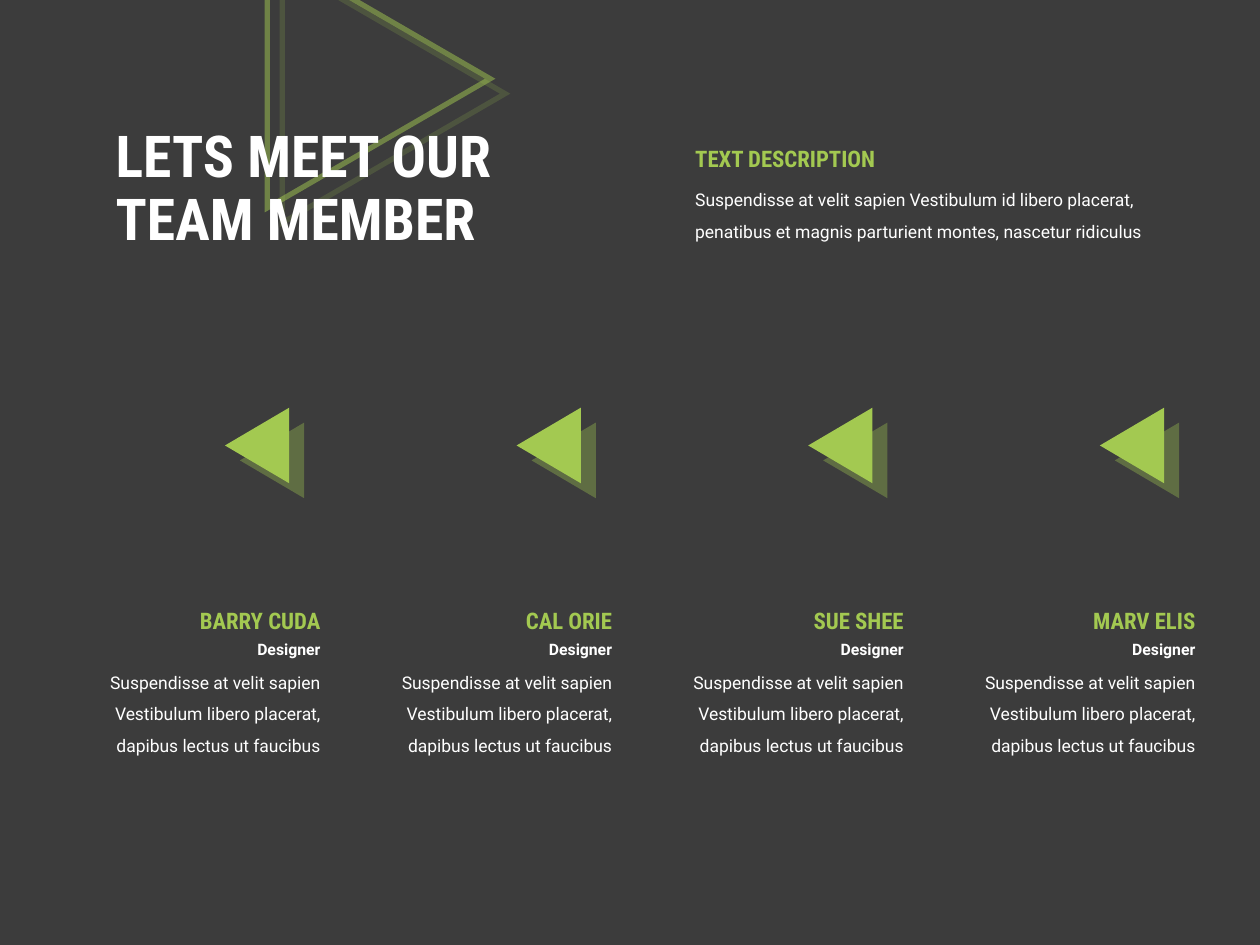
from dataclasses import dataclass

from lxml.etree import SubElement
from pptx import Presentation
from pptx.dml.color import RGBColor
from pptx.enum.shapes import MSO_SHAPE as Shape
from pptx.enum.text import MSO_ANCHOR as Anchor, MSO_AUTO_SIZE as AutoSize, PP_ALIGN as Align
from pptx.oxml.ns import qn
from pptx.util import Pt


@dataclass(frozen=True)
class TextStyle:
    font: str
    size: float
    color: RGBColor
    bold: bool = False
    spacing: float = 1.0


@dataclass(frozen=True)
class Box:
    left: float
    top: float
    width: float
    height: float


@dataclass(frozen=True)
class Member:
    name: str
    role: str
    about: str


class Theme:
    background = RGBColor(0x3C, 0x3C, 0x3C)
    green = RGBColor(0xA3, 0xC9, 0x51)
    white = RGBColor(0xFF, 0xFF, 0xFF)
    title = TextStyle("Roboto Condensed", 33, white, True, 0.9)
    heading = TextStyle("Roboto Condensed", 13, green, True)
    role = TextStyle("Roboto", 9, white, True)
    body = TextStyle("Roboto", 10, white, spacing=1.5)


ABOUT = "Suspendisse at velit sapien Vestibulum libero placerat, dapibus lectus ut faucibus"
MEMBERS = [Member(name, "Designer", ABOUT)
           for name in ("BARRY CUDA", "CAL ORIE", "SUE SHEE", "MARV ELIS")]
FIRST_RIGHT = 190.1
COLUMN_PITCH = 166.65


def add_text(slide, box: Box, text: str, style: TextStyle, align=Align.LEFT,
             anchor=Anchor.TOP, auto_size=AutoSize.SHAPE_TO_FIT_TEXT) -> None:
    s = slide.shapes.add_textbox(Pt(box.left), Pt(box.top), Pt(box.width), Pt(box.height))
    tf = s.text_frame
    tf.text = text
    tf.word_wrap = True
    tf.auto_size = auto_size
    tf.vertical_anchor = anchor
    p = tf.paragraphs[0]
    p.alignment = align
    p.line_spacing = style.spacing
    for r in p.runs:
        r.font.name = style.font
        r.font.size = Pt(style.size)
        r.font.bold = style.bold
        r.font.color.rgb = style.color


def set_alpha(color, percent: int) -> None:
    SubElement(color, qn("a:alpha"), val=str(percent * 1000))


def add_triangle(slide, box: Box, rotation: float):
    """Add a triangle with a hard green shadow to its lower right."""
    s = slide.shapes.add_shape(Shape.ISOSCELES_TRIANGLE, Pt(box.left), Pt(box.top),
                               Pt(box.width), Pt(box.height))
    s.rotation = rotation
    s.shadow.inherit = False
    effects = s._element.spPr.find(qn("a:effectLst"))
    shadow = SubElement(effects, qn("a:outerShdw"), blurRad="0", dist=str(Pt(12.1)),
                        dir=str(45 * 60000), algn="tl", rotWithShape="0")
    set_alpha(SubElement(shadow, qn("a:srgbClr"), val=str(Theme.green)), 35)
    return s


def add_outline_triangle(slide, box: Box) -> None:
    s = add_triangle(slide, box, 90)
    s.fill.background()
    s.line.width = Pt(3)
    s.line.color.rgb = Theme.green
    ln = s._element.spPr.find(qn("a:ln"))
    set_alpha(ln.find(f"{qn('a:solidFill')}/{qn('a:srgbClr')}"), 50)
    SubElement(ln, qn("a:miter"), lim="800000")


def add_solid_triangle(slide, box: Box) -> None:
    s = add_triangle(slide, box, 270)
    s.fill.solid()
    s.fill.fore_color.rgb = Theme.green
    s.line.fill.background()


def add_member(slide, member: Member, right: float) -> None:
    """Add one team column, its text flush with the right edge."""
    rows = [
        (member.about, Theme.body, 374.4, 153.4, 61.2),
        (member.name, Theme.heading, 343.4, 100, 23),
        (member.role, Theme.role, 362.2, 56.2, 18),
    ]
    for text, style, top, width, height in rows:
        add_text(slide, Box(right - width, top, width, height), text, style, Align.RIGHT)
    add_solid_triangle(slide, Box(right - 64.8, 236.2, 43.2, 36.7))


def main() -> None:
    prs = Presentation()
    prs.slide_width, prs.slide_height = Pt(720), Pt(540)
    slide = prs.slides.add_slide(prs.slide_layouts[6])
    slide.background.fill.solid()
    slide.background.fill.fore_color.rgb = Theme.background

    add_outline_triangle(slide, Box(142.6, -18.7, 147.6, 127.4))
    add_text(slide, Box(59, 51.8, 303.8, 113.8), "LETS MEET OUR\vTEAM MEMBER", Theme.title,
             anchor=Anchor.MIDDLE, auto_size=AutoSize.NONE)
    for i, member in enumerate(MEMBERS):
        add_member(slide, member, FIRST_RIGHT + i * COLUMN_PITCH)
    add_text(slide, Box(390.2, 98.6, 299.5, 43.2),
             "Suspendisse at velit sapien Vestibulum id libero placerat, "
             "penatibus et magnis parturient montes, nascetur ridiculus", Theme.body)
    add_text(slide, Box(390.2, 79.2, 132.5, 38.9), "TEXT DESCRIPTION", Theme.heading)

    prs.save("out.pptx")


if __name__ == "__main__":
    main()
